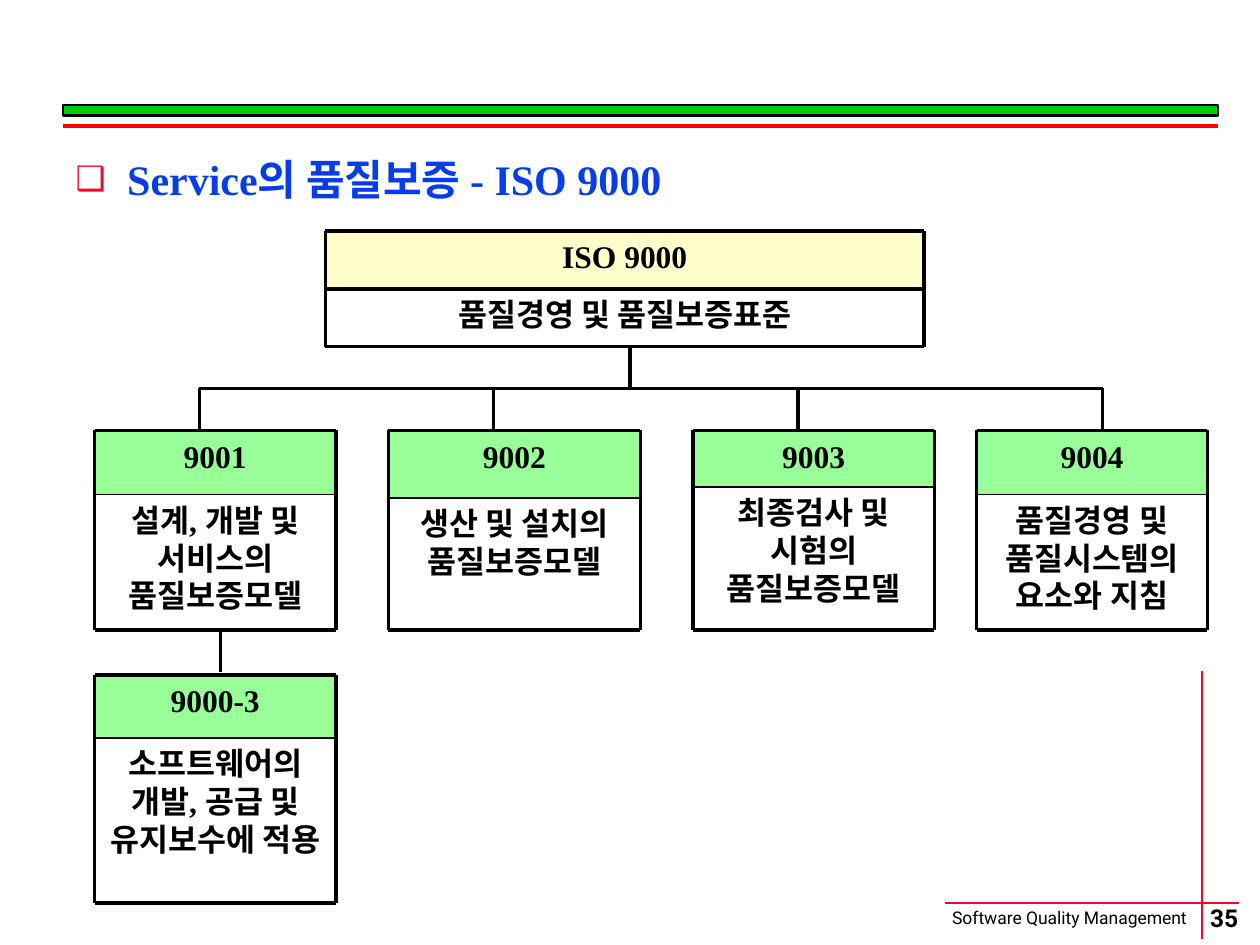
from lxml import etree
from pptx import Presentation
from pptx.dml.color import RGBColor
from pptx.enum.shapes import MSO_CONNECTOR as CONN, MSO_SHAPE as SHAPE
from pptx.enum.text import MSO_ANCHOR as ANCHOR, MSO_AUTO_SIZE as AUTO, PP_ALIGN as ALIGN
from pptx.oxml.ns import qn
from pptx.util import Inches, Pt

COLORS = {
    "black": "000000", "blue": "063DE8", "crimson": "FC0128", "red": "FF0000",
    "green": "00CC00", "mint": "99FF99", "cream": "FFFFCC",
}
SERIF, SANS = "Times New Roman", "Roboto"
WIDTH, HEIGHT = Inches(10), Inches(7.5)
COLS, ROWS = 120, 90
CARD_TOP, CARD_BOTTOM = 41, 60
CARDS = [
    (9, 23, 6.1, "9001", "설계, 개발 및 서비스의 품질보증모델"),
    (37, 24, 6.4, "9002", "생산 및 설치의 품질보증모델"),
    (66, 23, 5.4, "9003", "최종검사 및 시험의 품질보증모델"),
    (93, 22, 6.1, "9004", "품질경영 및 품질시스템의 요소와 지침"),
]


def rgb(name):
    return RGBColor.from_string(COLORS[name])


def x(col):
    return round(WIDTH * col / COLS)


def y(row):
    return round(HEIGHT * row / ROWS)


def box(left, top, width, height):
    return x(left), y(top), x(width), y(height)


def write(sp, text, size=18, font=SERIF, color="black", bold=True,
          align=ALIGN.CENTER, anchor=ANCHOR.TOP, wrap=True, margins=(0.1, 0.05)):
    tf = sp.text_frame
    tf.word_wrap = wrap
    tf.auto_size = AUTO.NONE
    tf.vertical_anchor = anchor
    tf.margin_left = tf.margin_right = Inches(margins[0])
    tf.margin_top = tf.margin_bottom = Inches(margins[1])
    p = tf.paragraphs[0]
    p.alignment = align
    p.space_before = Pt(0)
    r = p.add_run()
    r.text = text
    r.font.size, r.font.name, r.font.bold = Pt(size), font, bold
    r.font.color.rgb = rgb(color)
    return p


def add_text(s, area, text, **fmt):
    return write(s.shapes.add_textbox(*box(*area)), text, **fmt)


def add_rect(s, area, fill, line=None):
    sp = s.shapes.add_shape(SHAPE.RECTANGLE, *box(*area))
    sp.shadow.inherit = False
    sp.fill.solid()
    sp.fill.fore_color.rgb = rgb(fill)
    if line:
        sp.line.color.rgb = rgb("black")
        sp.line.width = Pt(line)
    else:
        sp.line.fill.background()
    return sp


def add_line(s, x1, y1, x2, y2, color="black", width=2.25):
    c = s.shapes.add_connector(CONN.STRAIGHT, x(x1), y(y1), x(x2), y(y2))
    c.line.color.rgb = rgb(color)
    c.line.width = Pt(width)
    etree.SubElement(c._element.spPr, qn("a:effectLst"))


def add_bullet(p, char, color, percent, indent):
    pPr = p._p.get_or_add_pPr()
    pPr.set("marL", str(Inches(indent)))
    pPr.set("indent", str(-Inches(indent)))
    clr = etree.SubElement(pPr, qn("a:buClr"))
    etree.SubElement(clr, qn("a:srgbClr"), val=COLORS[color])
    etree.SubElement(pPr, qn("a:buSzPct"), val=str(percent * 1000))
    etree.SubElement(pPr, qn("a:buChar"), char=char)


def add_header(s, left, top, width):
    add_rect(s, (left, top, width, 1), "green", line=1.5)
    add_line(s, left, top + 2, left + width, top + 2, color="red")


def add_heading(s, area, text):
    sp = s.placeholders[1]
    sp.left, sp.top, sp.width, sp.height = box(*area)
    p = write(sp, text, size=24, color="blue", align=ALIGN.LEFT)
    add_bullet(p, "❑", "crimson", 80, 0.41)


def add_card(s, area, head, name, text, fill="mint", rule=1):
    left, top, width, height = area
    right, split, bottom = left + width, top + head, top + height
    add_text(s, (left, split, width, height - head), text)
    write(add_rect(s, (left, top, width, head), fill), name)
    for row, weight in ((top, 2.25), (split, rule), (bottom, 2.25)):
        add_line(s, left, row, right, row, width=weight)
    for col in (left, right):
        add_line(s, col, top, col, bottom)


def add_tree(s, area, trunk, branches):
    left, top, width, height = area
    middle = top + height / 2
    add_line(s, left, middle, left + width, middle)
    add_line(s, trunk, top, trunk, middle)
    for col in branches:
        add_line(s, col, middle, col, top + height)


def add_footer(s, left, top, text, number):
    add_line(s, left, top, 118, top, color="crimson", width=1)
    add_line(s, 114.5, 63.9, 114.5, 89.4, color="crimson", width=1)
    add_text(s, (left - 0.5, top - 0.2, 26.3, 3.2), text, size=10, font=SANS,
             bold=False, align=ALIGN.LEFT, wrap=False)
    add_text(s, (110.6, top - 0.2, 12, 3.2), number, size=14, font=SANS,
             anchor=ANCHOR.MIDDLE, wrap=False, margins=(0, 0))


def main():
    prs = Presentation()
    prs.slide_width, prs.slide_height = WIDTH, HEIGHT
    s = prs.slides.add_slide(prs.slide_layouts[1])
    title = s.shapes.title._element
    title.getparent().remove(title)

    add_footer(s, 90, 86, "Software Quality Management", "35")
    add_header(s, 6, 10, 110)
    add_heading(s, (6, 14, 110, 72.2), "Service의 품질보증 - ISO 9000")
    add_card(s, (31, 22, 57, 11), 5.5, "ISO 9000", "품질경영 및 품질보증표준",
             fill="cream", rule=2.25)
    for left, width, head, name, text in CARDS:
        add_card(s, (left, CARD_TOP, width, CARD_BOTTOM - CARD_TOP), head, name, text)
    add_card(s, (9, 64.3, 23, 21.7), 6, "9000-3", "소프트웨어의 개발, 공급 및 유지보수에 적용")
    add_tree(s, (19, 33, 86, CARD_TOP - 33), 60, (19, 47, 76, 105))
    add_line(s, 21, CARD_BOTTOM, 21, 64)
    prs.save("out.pptx")


if __name__ == "__main__":
    main()
